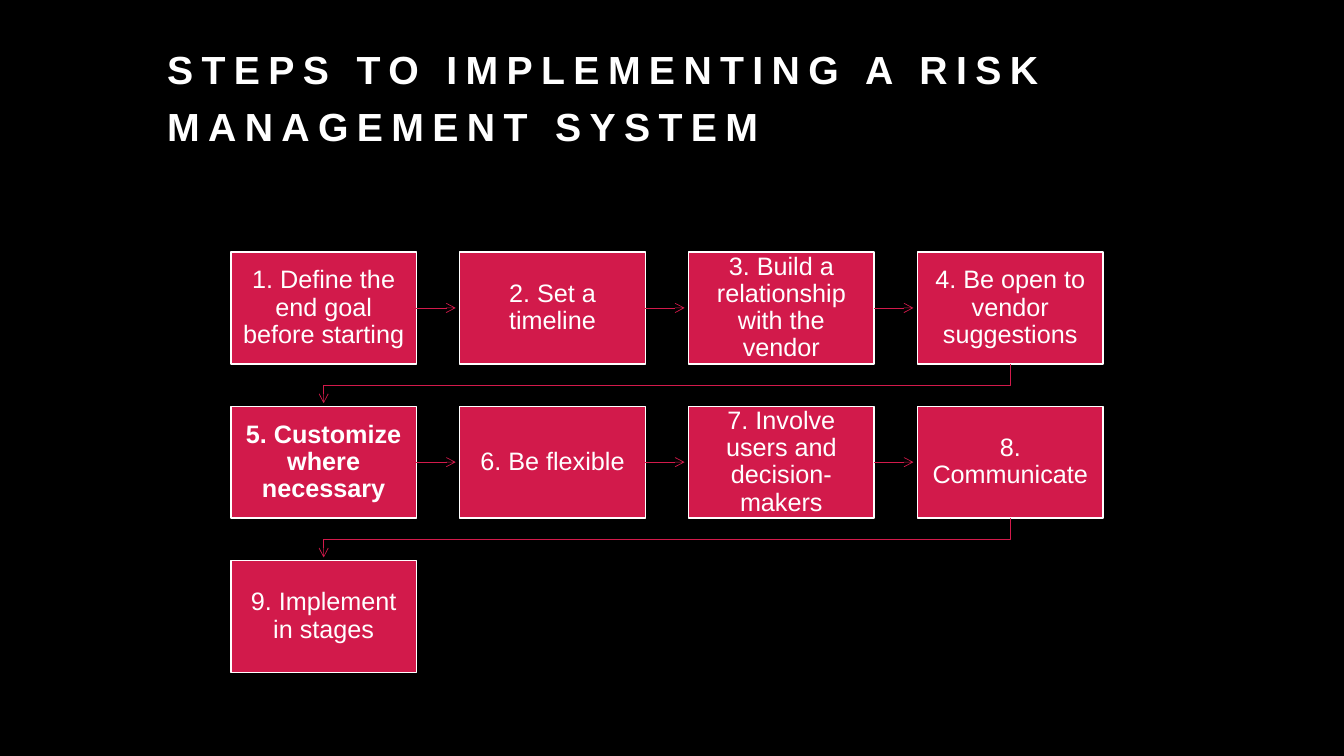
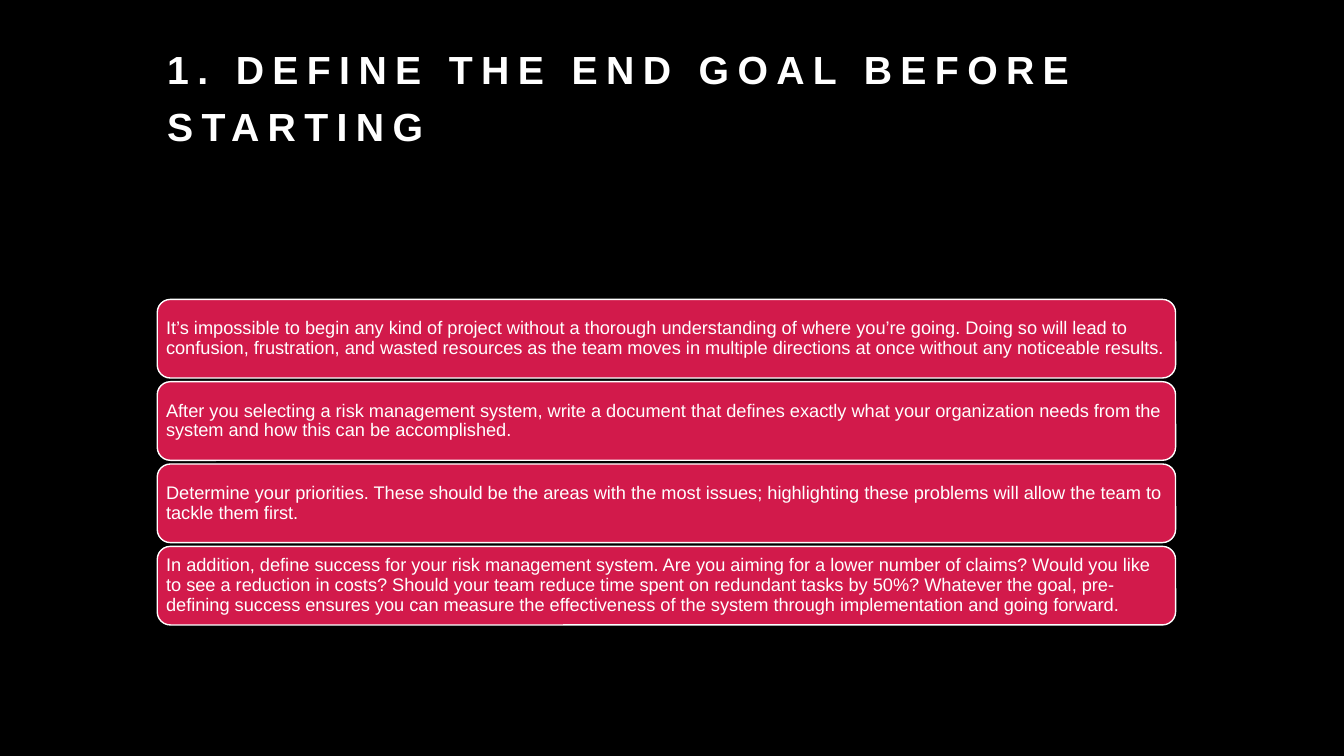
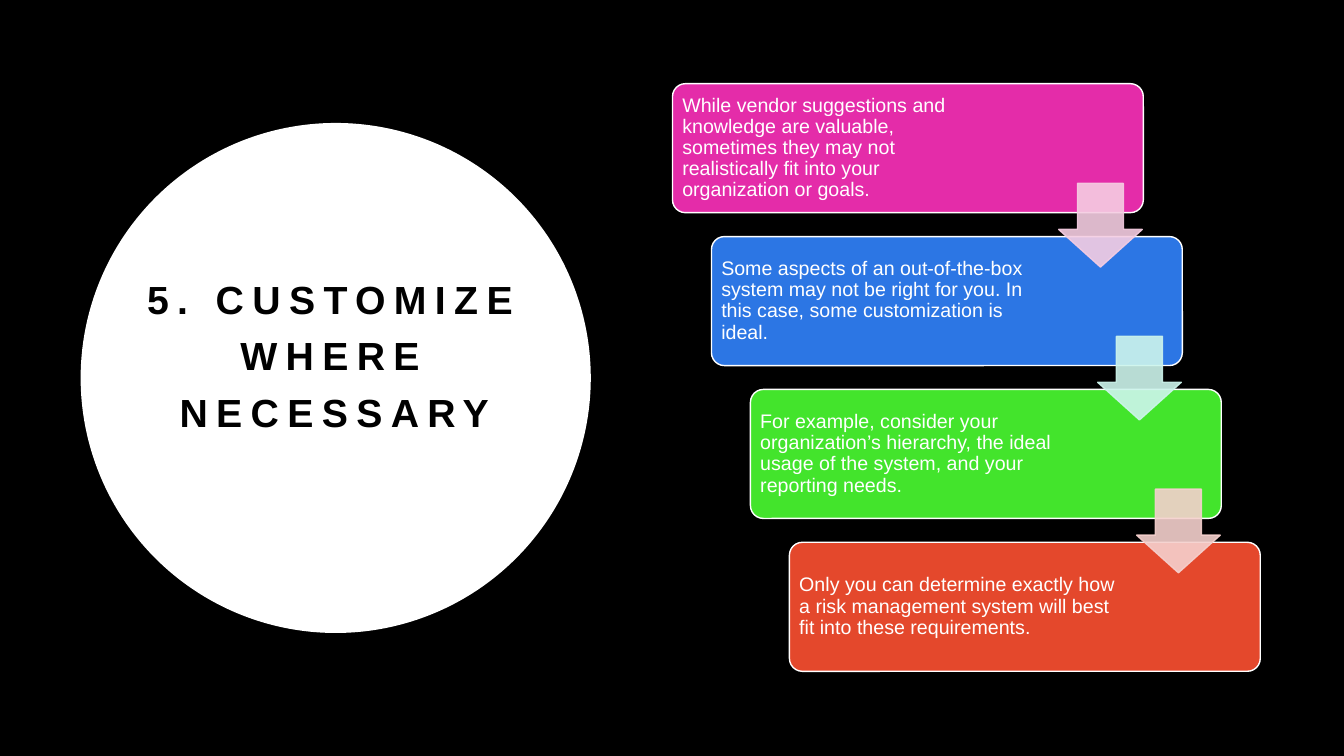
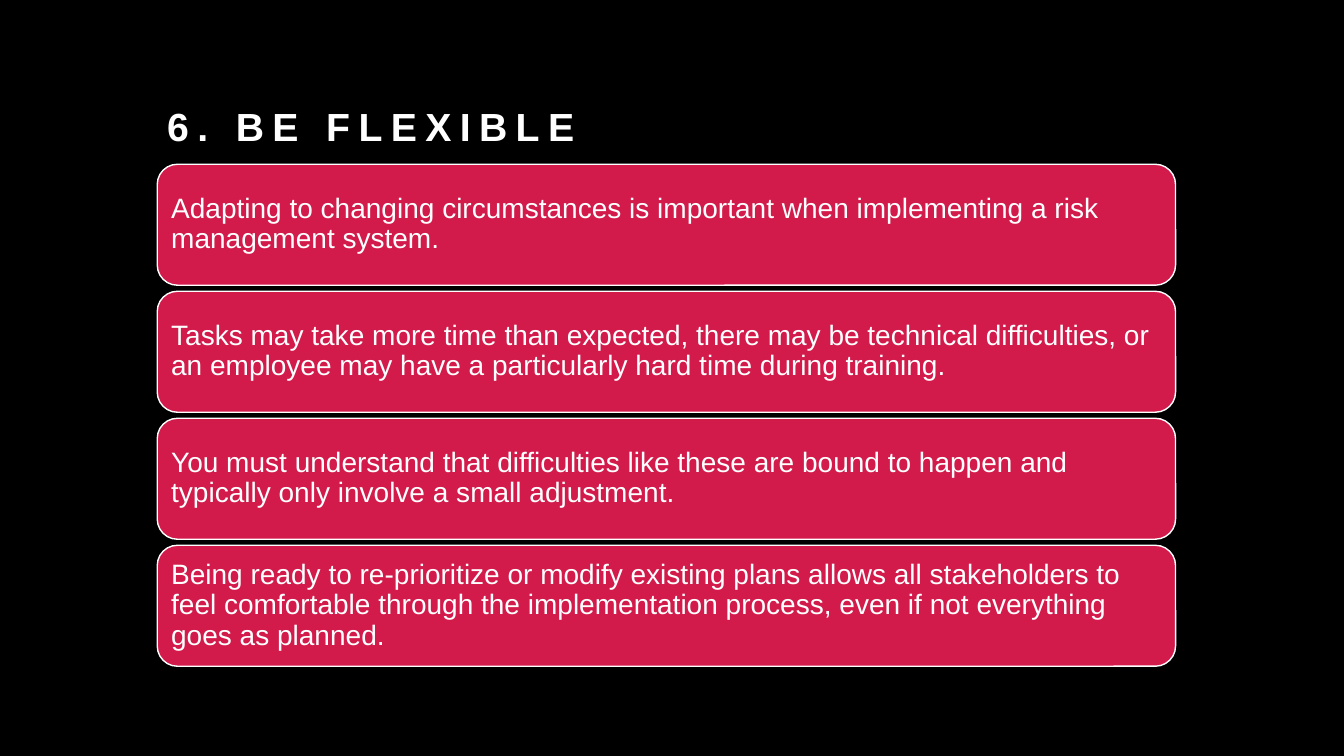
from lxml import etree
from pptx import Presentation
from pptx.dml.color import RGBColor
from pptx.enum import shapes, text
from pptx.oxml.ns import qn
from pptx.util import Inches, Pt

# Content
STEPS_TITLE = "STEPS TO IMPLEMENTING A RISK MANAGEMENT SYSTEM"
STEPS = [
    "1. Define the end goal before starting",
    "2. Set a timeline",
    "3. Build a relationship with the vendor",
    "4. Be open to vendor suggestions",
    "5. Customize where necessary",
    "6. Be flexible",
    "7. Involve users and decision-makers",
    "8. Communicate",
    "9. Implement in stages",
]
BOLD_STEP = 4

GOAL = {
    "title": "1. DEFINE THE END GOAL BEFORE STARTING",
    "first": 2.97, "last": 5.42, "height": 0.78, "size": 13, "margin": 0.05,
    "items": [
        "It’s impossible to begin any kind of project without a thorough understanding of where "
        "you’re going. Doing so will lead to confusion, frustration, and wasted resources as the "
        "team moves in multiple directions at once without any noticeable results.",
        "After you selecting a risk management system, write a document that defines exactly what "
        "your organization needs from the system and how this can be accomplished.",
        "Determine your priorities. These should be the areas with the most issues; highlighting "
        "these problems will allow the team to tackle them first.",
        "In addition, define success for your risk management system. Are you aiming for a lower "
        "number of claims? Would you like to see a reduction in costs? Should your team reduce "
        "time spent on redundant tasks by 50%? Whatever the goal, pre-defining success ensures "
        "you can measure the effectiveness of the system through implementation and going forward.",
    ],
}

CUSTOMIZE_TITLE = "5. CUSTOMIZE WHERE NECESSARY"
# text, card colour, text width, colour of the arrow to the next card
CUSTOMIZE = [
    ("While vendor suggestions and knowledge are valuable, sometimes they may not realistically "
     "fit into your organization or goals.", "pink", 3.17, "pale pink"),
    ("Some aspects of an out-of-the-box system may not be right for you. In this case, some "
     "customization is ideal.", "blue", 3.37, "pale teal"),
    ("For example, consider your organization’s hierarchy, the ideal usage of the system, and "
     "your reporting needs.", "green", 3.37, "pale red"),
    ("Only you can determine exactly how a risk management system will best fit into these "
     "requirements.", "orange", 3.37, None),
]

FLEXIBLE = {
    "title": "6. BE FLEXIBLE",
    "first": 1.63, "last": 5.41, "height": 1.2, "size": 20, "margin": 0.08,
    "items": [
        "Adapting to changing circumstances is important when implementing a risk management "
        "system.",
        "Tasks may take more time than expected, there may be technical difficulties, or an "
        "employee may have a particularly hard time during training.",
        "You must understand that difficulties like these are bound to happen and typically only "
        "involve a small adjustment.",
        "Being ready to re-prioritize or modify existing plans allows all stakeholders to feel "
        "comfortable through the implementation process, even if not everything goes as planned.",
    ],
}

# Shared style
COLORS = {
    "black": "000000", "white": "FFFFFF", "crimson": "D21A4B",
    "pink": "E42CA9", "blue": "2C76E4", "green": "43E42C", "orange": "E4482C",
    "pale pink": "F5CDE2", "pale teal": "CDF5EC", "pale red": "F5D0CD",
}
FONT = "Arial"
SHAPE = shapes.MSO_SHAPE
ALIGN = text.PP_ALIGN
ANCHOR = text.MSO_ANCHOR
LEFT, WIDTH = 1.56, 10.1
TITLE_AREA = (LEFT, 1.14, WIDTH, 0.94)


def color(name):
    return RGBColor.from_string(COLORS[name])


def inches(*lengths):
    return [Inches(length) for length in lengths]


def spread(first, last, count):
    return [first + (last - first) * i / (count - 1) for i in range(count)]


def add_page(deck):
    page = deck.slides.add_slide(deck.slide_layouts[6])
    page.background.fill.solid()
    page.background.fill.fore_color.rgb = color("black")
    return page


def write(box, words, size, ink="white", bold=False, align=ALIGN.LEFT,
          anchor=ANCHOR.MIDDLE, margins=(0.1, 0.05, 0.1, 0.05), spacing=0.9):
    """Put one paragraph in a box; margins run left, top, right, bottom."""
    frame = box.text_frame
    frame.word_wrap = True
    frame.vertical_anchor = anchor
    (frame.margin_left, frame.margin_top,
     frame.margin_right, frame.margin_bottom) = inches(*margins)
    para = frame.paragraphs[0]
    para.text = words
    para.alignment = align
    para.line_spacing = spacing
    para.font.name = FONT
    para.font.size = Pt(size)
    para.font.bold = bold
    para.font.color.rgb = color(ink)
    return para


def add_title(page, words, area=TITLE_AREA, ink="white", align=ALIGN.LEFT,
              anchor=ANCHOR.BOTTOM):
    box = page.shapes.add_textbox(*inches(*area))
    para = write(box, words, 28, ink, True, align, anchor, (0.1, 0.05, 0.1, 0.6), 1.2)
    para.runs[0].font._element.set("spc", "600")


def add_block(page, kind, area, fill, line="white", adjust=()):
    block = page.shapes.add_shape(kind, *inches(*area))
    block.shadow.inherit = False
    for i, value in enumerate(adjust):
        block.adjustments[i] = value
    block.fill.solid()
    block.fill.fore_color.rgb = color(fill)
    if line:
        block.line.color.rgb = color(line)
        block.line.width = Pt(1)
    else:
        block.line.fill.background()
    return block


def style_arrow(arrow):
    arrow.line.color.rgb = color("crimson")
    arrow.line.width = Pt(0.5)
    etree.SubElement(arrow.line._get_or_add_ln(), qn("a:tailEnd"), type="arrow")
    properties = arrow._element.spPr
    if properties.find(qn("a:effectLst")) is None:
        etree.SubElement(properties, qn("a:effectLst"))


def make_see_through(shape, percent):
    for tint in shape._element.spPr.iter(qn("a:srgbClr")):
        etree.SubElement(tint, qn("a:alpha"), val=str(percent * 1000))


# Slide kinds
def add_steps(deck):
    page = add_page(deck)
    add_title(page, STEPS_TITLE)
    columns, left, top = 4, 2.29, 2.5
    width, height, column_pitch, row_pitch, reach = 1.84, 1.11, 2.27, 1.53, 0.39
    for i, step in enumerate(STEPS):
        row, column = divmod(i, columns)
        x, y = left + column * column_pitch, top + row * row_pitch
        box = add_block(page, SHAPE.RECTANGLE, (x, y, width, height), "crimson")
        write(box, step, 18, bold=i == BOLD_STEP, align=ALIGN.CENTER, margins=(0.09,) * 4)
        if i == len(STEPS) - 1:
            continue
        if column < columns - 1:
            start, middle = x + width, y + height / 2
            arrow = page.shapes.add_connector(
                shapes.MSO_CONNECTOR.STRAIGHT, *inches(start, middle, start + reach, middle))
            arrow.begin_connect(box, 3)
        else:
            # Turn down and back to the first box of the next row
            start, end, bottom = x + width / 2, left + width / 2, y + height
            turn = bottom + (row_pitch - height) / 2
            route = page.shapes.build_freeform(*inches(start, bottom))
            route.add_line_segments(
                [inches(*point) for point in
                 ((start, turn), (end, turn), (end, bottom + reach))], close=False)
            arrow = route.convert_to_shape()
            arrow.fill.background()
        style_arrow(arrow)


def add_stack(deck, stack):
    page = add_page(deck)
    add_title(page, stack["title"])
    items = stack["items"]
    for y, item in zip(spread(stack["first"], stack["last"], len(items)), items):
        card = add_block(page, SHAPE.ROUNDED_RECTANGLE,
                         (LEFT, y, WIDTH, stack["height"]), "crimson")
        write(card, item, stack["size"], margins=(stack["margin"],) * 4)


def add_staircase(deck):
    page = add_page(deck)
    add_block(page, SHAPE.OVAL, (0.8, 1.22, 5.06, 5.06), "white", line=None)
    add_title(page, CUSTOMIZE_TITLE, (1.32, 2.5, 3.99, 2.5), "black",
              ALIGN.CENTER, ANCHOR.MIDDLE)
    width, height, margin, corner = 4.67, 1.28, 0.06, 0.04
    count = len(CUSTOMIZE)
    places = list(zip(spread(6.67, 7.83, count), spread(0.83, 5.38, count)))
    for (x, y), (words, fill, text_width, _) in zip(places, CUSTOMIZE):
        card = add_block(page, SHAPE.ROUNDED_RECTANGLE, (x, y, width, height), fill,
                         adjust=(0.1,))
        right = width - text_width - 2 * corner + margin
        write(card, words, 14, margins=(margin, margin, right, margin))
    # Arrows lie over the cards
    for (x, y), (_, _, _, tint) in zip(places[:-1], CUSTOMIZE):
        arrow = add_block(page, SHAPE.DOWN_ARROW, (x + 3.83, y + 0.99, 0.83, 0.83),
                          tint, tint, (0.55, 0.45))
        make_see_through(arrow, 90)


def main():
    deck = Presentation()
    deck.slide_width, deck.slide_height = inches(13.33, 7.5)
    add_steps(deck)
    add_stack(deck, GOAL)
    add_staircase(deck)
    add_stack(deck, FLEXIBLE)
    deck.save("out.pptx")


if __name__ == "__main__":
    main()
